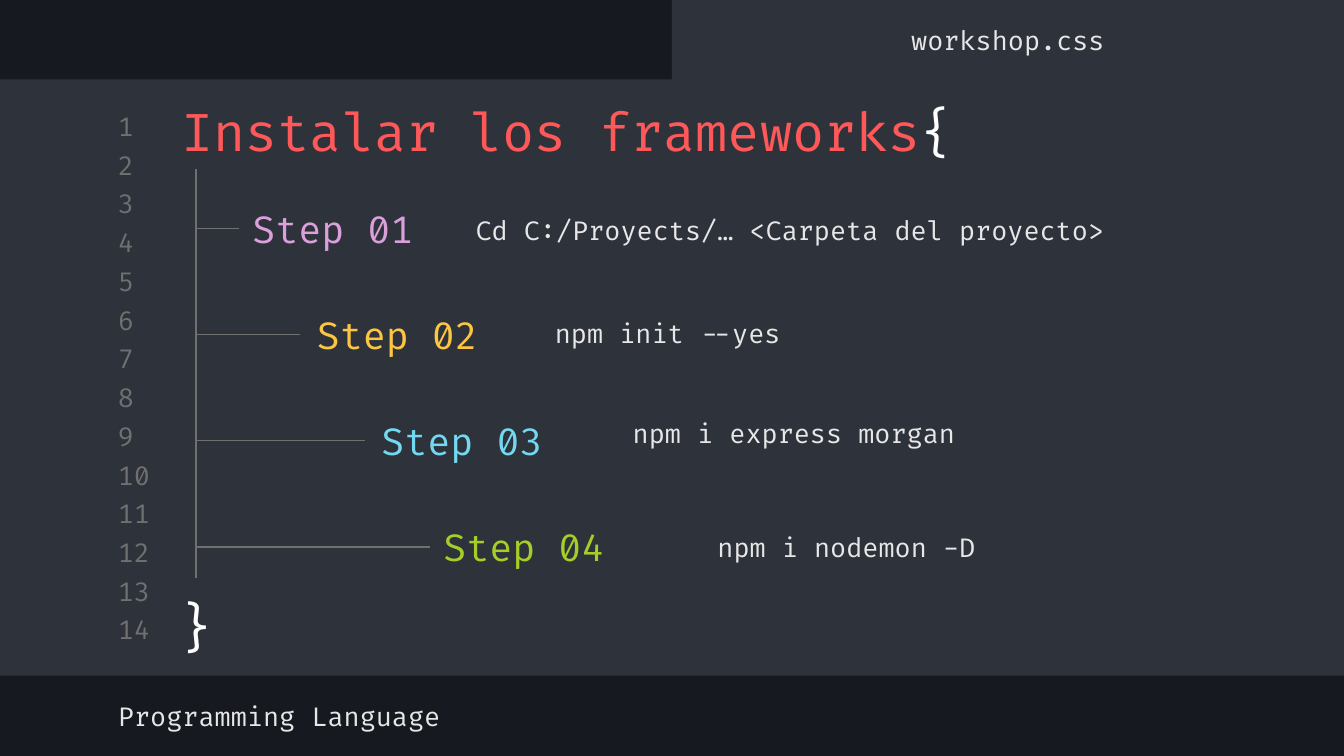
from pptx import Presentation
from pptx.dml.color import RGBColor
from pptx.enum.shapes import MSO_CONNECTOR, MSO_SHAPE
from pptx.enum.text import MSO_ANCHOR as Anchor, MSO_AUTO_SIZE, PP_ALIGN as Align
from pptx.oxml.ns import qn
from pptx.util import Pt
from lxml.etree import SubElement

FONT = "Fira Code"
DARK = RGBColor(0x16, 0x19, 0x1F)
PANEL = RGBColor(0x2E, 0x32, 0x3B)
GRAY = RGBColor(0x70, 0x70, 0x70)
LIGHT = RGBColor(0xE7, 0xE7, 0xE7)
WHITE = RGBColor(0xFF, 0xFF, 0xFF)
RED = RGBColor(0xFF, 0x58, 0x58)
PINK = RGBColor(0xDB, 0xA0, 0xDB)
YELLOW = RGBColor(0xFC, 0xC6, 0x42)
CYAN = RGBColor(0x72, 0xD9, 0xF0)
GREEN = RGBColor(0xA5, 0xCF, 0x27)

INSET = Pt(7.2)
STEP_PITCH = 56.88
STEP_HEIGHT = 46

# Label, colour, label left, branch length, command, command left and top
STEPS = [
    ("Step 01", PINK, 23, 23, "Cd C:/Proyects/… <Carpeta del proyecto>", 142.6, 9.4),
    ("Step 02", YELLOW, 57.6, 55.5, "npm init --yes", 185.1, 64.8),
    ("Step 03", CYAN, 92.2, 90.7, "npm i express morgan", 226.8, 118.1),
    ("Step 04", GREEN, 125.3, 125.3, "npm i nodemon -D", 272.2, 179.3),
]


def write(shape, runs, size, anchor=Anchor.MIDDLE, align=Align.LEFT):
    """Fill a shape with one paragraph of (text, colour) runs."""
    frame = shape.text_frame
    frame.auto_size = MSO_AUTO_SIZE.NONE
    frame.word_wrap = True
    frame.vertical_anchor = anchor
    frame.margin_left = frame.margin_right = INSET
    frame.margin_top = frame.margin_bottom = INSET
    paragraph = frame.paragraphs[0]
    paragraph.alignment = align
    paragraph.space_before = Pt(0)
    for text, color in runs:
        run = paragraph.add_run()
        run.text = text
        run.font.name = FONT
        run.font.size = Pt(size)
        run.font.color.rgb = color


def add_text(slide, box, text, size, color, **options):
    shape = slide.shapes.add_textbox(*map(Pt, box))
    write(shape, [(text, color)], size, **options)


def fill_placeholder(placeholder, box, runs, size, **options):
    placeholder.left, placeholder.top, placeholder.width, placeholder.height = map(Pt, box)
    write(placeholder, runs, size, **options)
    properties = placeholder.text_frame.paragraphs[0]._p.get_or_add_pPr()
    properties.set("marL", "0")
    properties.set("indent", "0")
    SubElement(properties, qn("a:buNone"))


def add_panel(slide, box):
    """Add a plain panel behind everything else."""
    shape = slide.shapes.add_shape(MSO_SHAPE.RECTANGLE, *map(Pt, box))
    shape.shadow.inherit = False
    shape.fill.solid()
    shape.fill.fore_color.rgb = PANEL
    shape.line.fill.background()
    slide.shapes._spTree.insert(2, shape._element)


def add_line(slide, *ends):
    line = slide.shapes.add_connector(MSO_CONNECTOR.STRAIGHT, *map(Pt, ends))
    line.line.color.rgb = GRAY
    line.line.width = Pt(0.75)
    SubElement(line._element.spPr, qn("a:effectLst"))


def add_line_numbers(slide, left, top, count=14, pitch=20.75):
    for index in range(count):
        box = (left, top + index * pitch, 34, 17)
        add_text(slide, box, str(index + 1), 14, GRAY)


def add_step_tree(slide, left, top, height):
    """Draw the trunk from (left, top), with a branch, label and command per step."""
    add_line(slide, left, top, left, top + height)
    for index, (label, color, indent, branch, command, command_left, command_top) in enumerate(STEPS):
        middle = top + 31.7 + index * STEP_PITCH
        add_line(slide, left, middle, left + branch, middle)
        label_box = (left + indent, middle - STEP_HEIGHT / 2, 102, STEP_HEIGHT)
        add_text(slide, label_box, label, 20, color)
        command_box = (left + command_left, top + command_top, 374, STEP_HEIGHT)
        add_text(slide, command_box, command, 14, LIGHT)


def build_slide(presentation):
    slide = presentation.slides.add_slide(presentation.slide_layouts[3])
    slide.background.fill.solid()
    slide.background.fill.fore_color.rgb = DARK
    title, footer, tab = list(slide.placeholders)[:3]

    add_panel(slide, (0, 42.5, 720, 319.5))
    add_panel(slide, (360, 0, 360, 47))
    fill_placeholder(title, (90, 46, 574, 42.5),
                     [("Instalar los frameworks", RED), ("{", WHITE)], 28, anchor=Anchor.TOP)
    fill_placeholder(footer, (56, 369.5, 383, 28), [("Programming Language", LIGHT)], 14)
    fill_placeholder(tab, (360, 7.2, 360, 28), [("workshop.css", LIGHT)], 14, align=Align.CENTER)
    add_line_numbers(slide, 56, 59)
    add_step_tree(slide, 105.1, 90.7, 218.9)
    add_text(slide, (85.7, 311, 39.6, 48), "}", 28, WHITE, anchor=Anchor.TOP, align=Align.CENTER)


def main():
    presentation = Presentation()
    presentation.slide_width = Pt(720)
    presentation.slide_height = Pt(405)
    build_slide(presentation)
    presentation.save("out.pptx")


if __name__ == "__main__":
    main()
